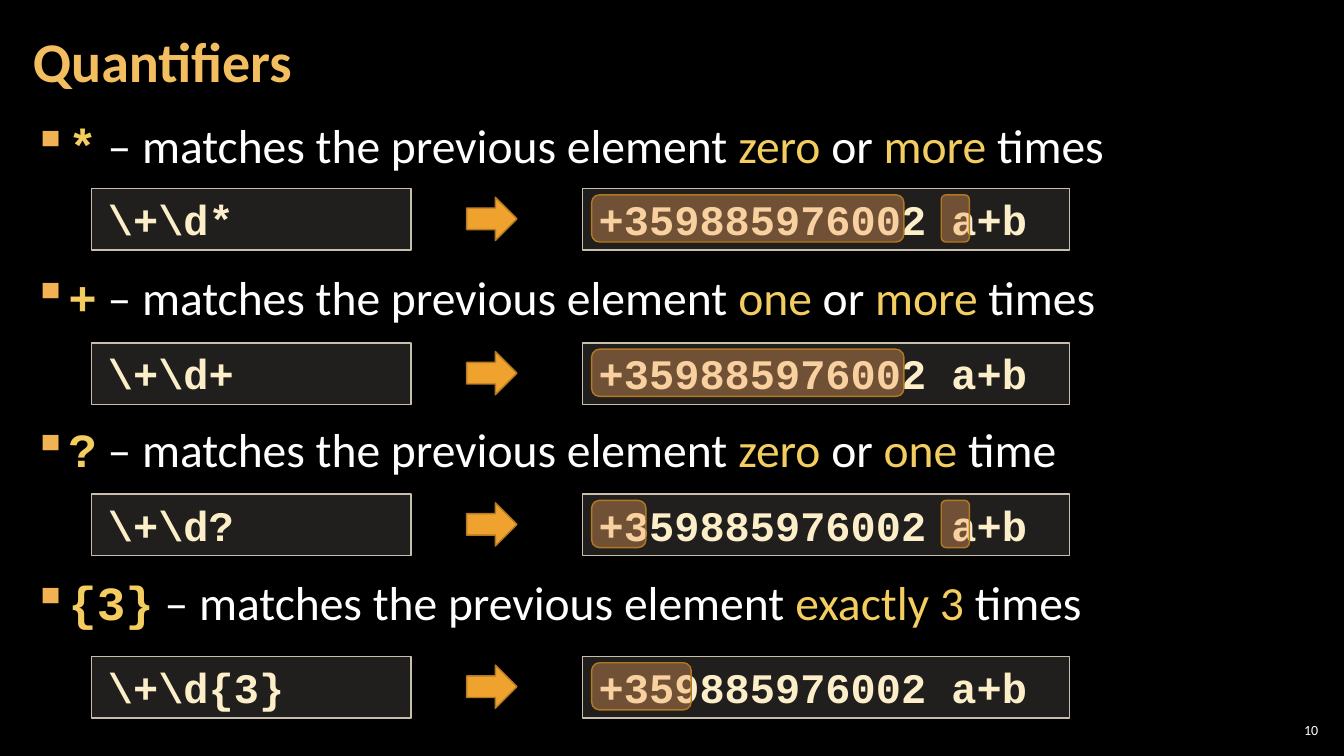
from lxml import etree
from pptx import Presentation
from pptx.dml.color import RGBColor
from pptx.enum.shapes import MSO_SHAPE
from pptx.enum.text import MSO_ANCHOR, PP_ALIGN
from pptx.oxml.ns import qn
from pptx.util import Cm, Pt

RECTANGLE = MSO_SHAPE.RECTANGLE
ROUNDED = MSO_SHAPE.ROUNDED_RECTANGLE
RIGHT_ARROW = MSO_SHAPE.RIGHT_ARROW
TOP, MIDDLE = MSO_ANCHOR.TOP, MSO_ANCHOR.MIDDLE
LEFT, RIGHT = PP_ALIGN.LEFT, PP_ALIGN.RIGHT

BLACK = RGBColor(0x00, 0x00, 0x00)
WHITE = RGBColor(0xFF, 0xFF, 0xFF)
TITLE_GOLD = RGBColor(0xF3, 0xBE, 0x60)
KEYWORD_GOLD = RGBColor(0xF3, 0xCD, 0x60)
BULLET_GOLD = RGBColor(0xF2, 0xB2, 0x54)
CODE_CREAM = RGBColor(0xFB, 0xEE, 0xC9)
BOX_FILL = RGBColor(0xD9, 0xD5, 0xC7)
BOX_LINE = RGBColor(0xC7, 0xBF, 0xAC)
MATCH_FILL = RGBColor(0xF6, 0xA3, 0x5E)
ARROW_FILL = RGBColor(0xF0, 0xA2, 0x2E)
ACCENT_LINE = RGBColor(0xB2, 0x78, 0x22)

BODY_FONT, CODE_FONT = "Calibri", "Courier New"
SAMPLE_TEXT = "+359885976002 a+b"
MEANING = " – matches the previous element "
EMPTY_MATCH = (23.72, 0.71)

# Quantifier, words after the meaning (keywords at even places),
# pattern, top of the example in cm, (left, width) of each match in cm
QUANTIFIERS = [
    ("*", ["zero", " or ", "more", " times"], r"\+\d*", 4.75,
     [(14.91, 7.87), EMPTY_MATCH]),
    ("+", ["one", " or ", "more", " times"], r"\+\d+", 8.64,
     [(14.91, 7.87)]),
    ("?", ["zero", " or ", "one", " time"], r"\+\d?", 12.45,
     [(14.91, 1.37), EMPTY_MATCH]),
    ("{3}", ["exactly 3", " times"], r"\+\d{3}", 16.54,
     [(14.91, 2.51)]),
]


def format_run(run, size, color, font=BODY_FONT, bold=False):
    """Set the font of one run."""
    run.font.name = font
    run.font.size = Pt(size)
    run.font.bold = bold
    run.font.color.rgb = color


def set_frame(text_frame, horizontal, vertical, anchor):
    """Set wrapping, insets in cm and the anchor of a text frame."""
    text_frame.word_wrap = True
    text_frame.margin_left = text_frame.margin_right = Cm(horizontal)
    text_frame.margin_top = text_frame.margin_bottom = Cm(vertical)
    text_frame.vertical_anchor = anchor


def add_text(slide, box, horizontal, anchor=TOP):
    """Add an empty text box and return its text frame."""
    text_frame = slide.shapes.add_textbox(*map(Cm, box)).text_frame
    set_frame(text_frame, horizontal, 0.1, anchor)
    return text_frame


def add_line(slide, box, text, size, color, horizontal, bold=False, align=LEFT):
    """Add a text box that holds one middle-anchored line."""
    paragraph = add_text(slide, box, horizontal, MIDDLE).paragraphs[0]
    paragraph.text = text
    paragraph.alignment = align
    format_run(paragraph.runs[0], size, color, bold=bold)
    return paragraph


def add_figure(slide, kind, box, fill, line, opacity=100):
    """Add a filled, outlined preset shape with an opacity in percent."""
    shape = slide.shapes.add_shape(kind, *map(Cm, box))
    shape.shadow.inherit = False
    shape.fill.solid()
    shape.fill.fore_color.rgb = fill
    shape.line.color.rgb = line
    shape.line.width = Pt(1)
    if opacity < 100:
        color = shape.fill._xPr.find(qn("a:solidFill"))[0]
        etree.SubElement(color, qn("a:alpha"), val=str(opacity * 1000))
    return shape


def add_code_box(slide, box, code):
    """Add a framed box with a line of code."""
    shape = add_figure(slide, RECTANGLE, box, BOX_FILL, BOX_LINE, 15)
    set_frame(shape.text_frame, 0.41, 0.13, TOP)
    paragraph = shape.text_frame.paragraphs[0]
    paragraph.text = code
    paragraph.alignment = LEFT
    format_run(paragraph.runs[0], 30, CODE_CREAM, CODE_FONT, True)


def add_bullet(paragraph):
    """Give a paragraph a hanging gold square bullet."""
    properties = paragraph._p.get_or_add_pPr()
    properties.set("marL", str(Cm(0.84)))
    properties.set("indent", str(-Cm(0.84)))
    color = etree.SubElement(properties, qn("a:buClr"))
    etree.SubElement(color, qn("a:srgbClr"), val=str(BULLET_GOLD))
    etree.SubElement(properties, qn("a:buChar"), char="▪")


def add_definitions(slide):
    """Add the bulleted meaning of every quantifier."""
    text_frame = add_text(slide, (0.53, 2.74, 32.79, 15.47), 0.3)
    for index, (symbol, words, *_) in enumerate(QUANTIFIERS):
        paragraph = text_frame.add_paragraph() if index else text_frame.paragraphs[0]
        paragraph.line_spacing = 1.05
        paragraph.space_before = Pt(6)
        paragraph.space_after = Pt(60)
        add_bullet(paragraph)
        for position, text in enumerate([symbol, MEANING, *words]):
            run = paragraph.add_run()
            run.text = text
            color = WHITE if position % 2 else KEYWORD_GOLD
            if position == 0:
                format_run(run, 34, color, CODE_FONT, True)
            else:
                format_run(run, 34, color)


def add_example(slide, pattern, top, matches):
    """Add a pattern, an arrow and the sample text with its matches."""
    add_code_box(slide, (14.68, top, 12.27, 1.55), SAMPLE_TEXT)
    add_code_box(slide, (2.31, top, 8.05, 1.55), pattern)
    add_figure(slide, RIGHT_ARROW, (11.76, top + 0.22, 1.27, 1.09),
               ARROW_FILL, ACCENT_LINE)
    for left, width in matches:
        add_figure(slide, ROUNDED, (left, top + 0.16, width, 1.19),
                   MATCH_FILL, ACCENT_LINE, 38)


def main():
    """Build and save the slide."""
    presentation = Presentation()
    presentation.slide_width = Cm(33.87)
    presentation.slide_height = Cm(19.05)
    slide = presentation.slides.add_slide(presentation.slide_layouts[6])
    slide.background.fill.solid()
    slide.background.fill.fore_color.rgb = BLACK

    add_line(slide, (32.13, 18.14, 1.19, 0.53), "10", 10, WHITE, 0.1, align=RIGHT)
    add_definitions(slide)
    title = add_line(slide, (0.53, 0.1, 26.59, 3.07), "Quantifiers", 40,
                     TITLE_GOLD, 0.3, bold=True)
    title.line_spacing = 0.9
    for _, _, pattern, top, matches in QUANTIFIERS:
        add_example(slide, pattern, top, matches)
    presentation.save("out.pptx")


main()
